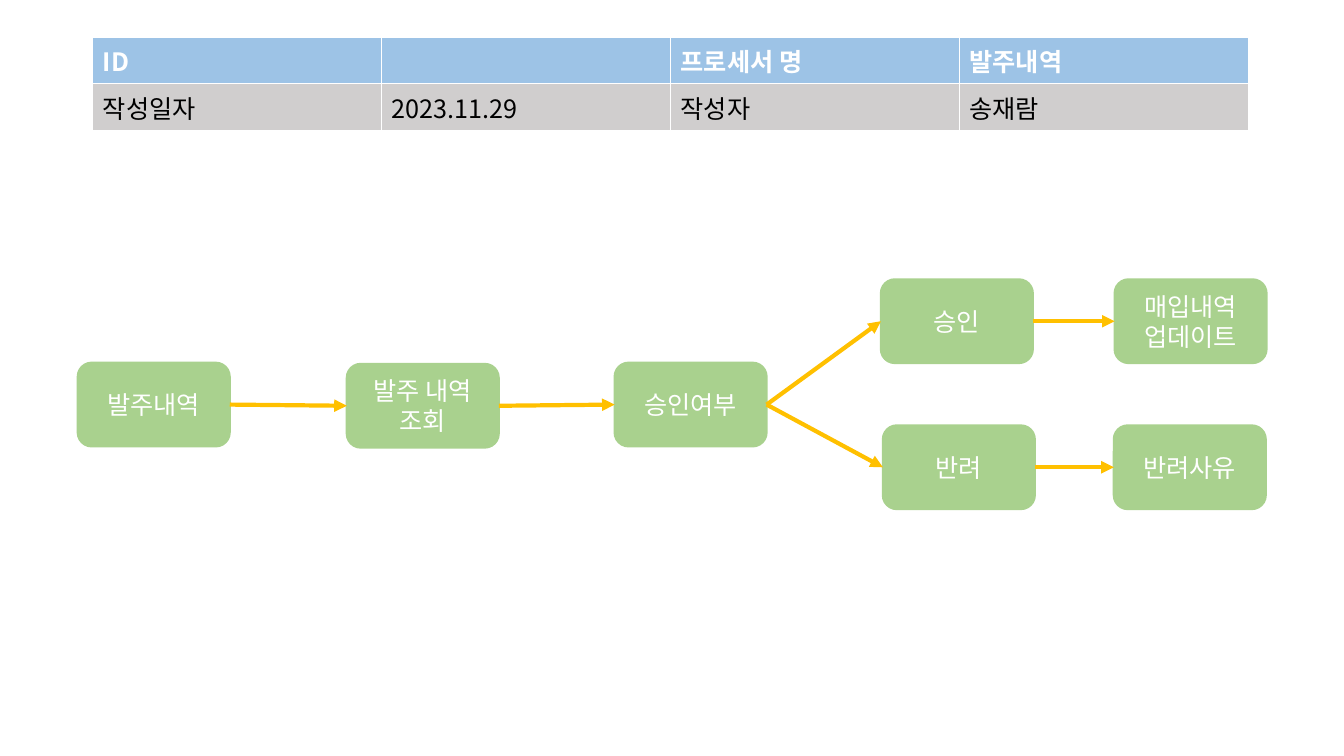
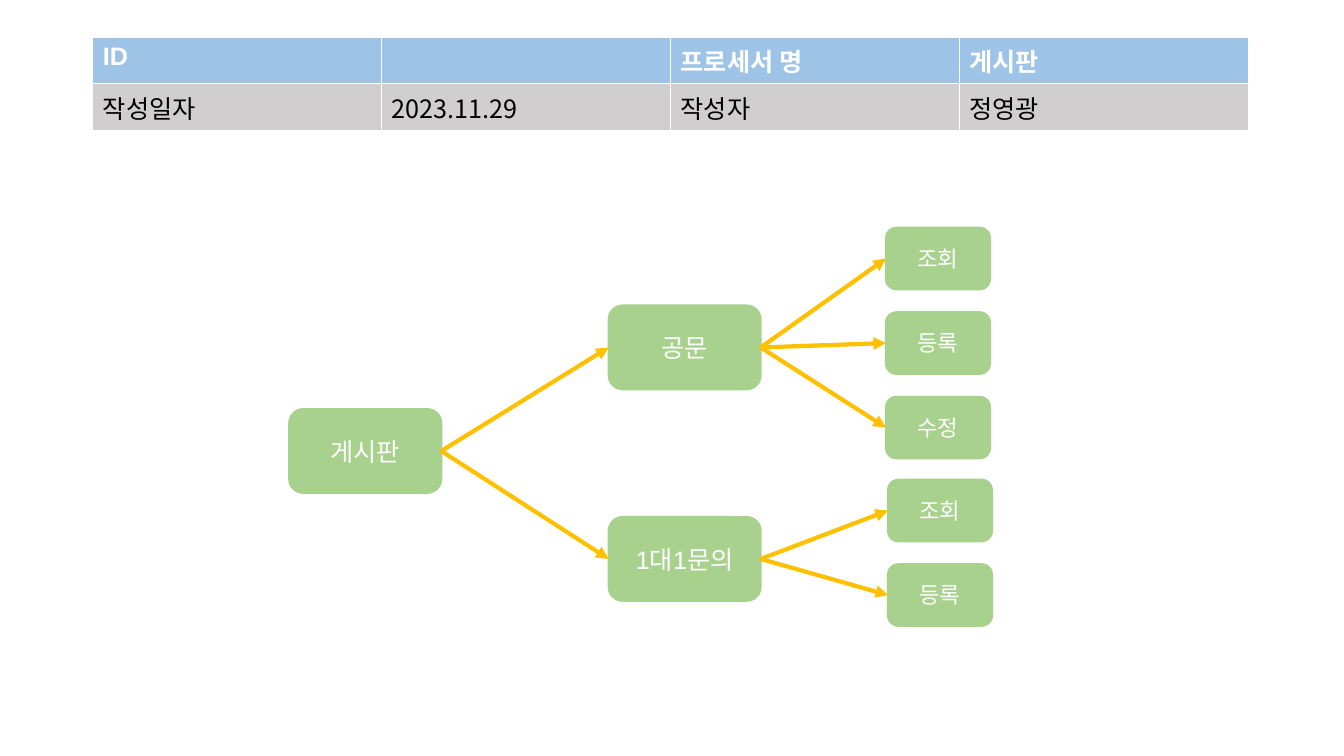
from dataclasses import dataclass

from lxml.etree import SubElement
from pptx import Presentation
from pptx.dml.color import RGBColor
from pptx.enum.shapes import MSO_CONNECTOR, MSO_SHAPE
from pptx.enum.text import MSO_ANCHOR, PP_ALIGN
from pptx.oxml.ns import qn
from pptx.util import Cm, Pt

COLORS = {
    "header": "9DC3E6",
    "row": "D0CECE",
    "box": "A9D18E",
    "arrow": "FFC000",
    "white": "FFFFFF",
    "black": "000000",
}
KOREAN = "Noto Sans CJK KR"
LATIN = "Arial"
RIGHT, LEFT = 3, 1


@dataclass(frozen=True)
class Size:
    width: float
    height: float
    font: int


LARGE = Size(3.83, 2.11, 18)
SMALL = Size(2.62, 1.55, 16)


@dataclass(frozen=True)
class Box:
    """A flow step; left and top are in centimetres."""
    text: str
    left: float
    top: float
    size: Size = LARGE


@dataclass(frozen=True)
class Process:
    """One slide; arrows are pairs of keys into boxes."""
    name: str
    author: str
    font: str
    boxes: dict[str, Box]
    arrows: list[tuple[str, str]]


def column(texts: dict[str, str], left: float, top: float) -> dict[str, Box]:
    """Stack small boxes at an equal step."""
    step = 2.13
    return {key: Box(text, left, round(top + i * step, 2), SMALL)
            for i, (key, text) in enumerate(texts.items())}


PROCESSES = [
    Process(
        "발주내역", "송재람", KOREAN,
        {
            "orders": Box("발주내역", 1.96, 9.14),
            "search": Box("발주 내역 조회", 8.74, 9.17),
            "decision": Box("승인여부", 15.49, 9.14),
            "approved": Box("승인", 22.2, 7.04),
            "rejected": Box("반려", 22.25, 10.72),
            "update": Box("매입내역\n업데이트", 28.09, 7.04),
            "reason": Box("반려사유", 28.07, 10.72),
        },
        [("orders", "search"), ("search", "decision"),
         ("decision", "approved"), ("decision", "rejected"),
         ("approved", "update"), ("rejected", "reason")],
    ),
    Process(
        "게시판", "정영광", LATIN,
        {
            "board": Box("게시판", 7.29, 10.31),
            "notice": Box("공문", 15.34, 7.7),
            "inquiry": Box("1대1문의", 15.34, 13.03),
            **column({"notice view": "조회", "notice add": "등록",
                      "notice edit": "수정"}, 22.33, 5.74),
            **column({"inquiry view": "조회", "inquiry add": "등록"}, 22.38, 12.09),
        },
        [("board", "notice"), ("board", "inquiry"),
         ("notice", "notice view"), ("notice", "notice add"),
         ("notice", "notice edit"),
         ("inquiry", "inquiry view"), ("inquiry", "inquiry add")],
    ),
]


def rgb(name: str) -> RGBColor:
    return RGBColor.from_string(COLORS[name])


def write(tf, text: str, *, font: str, size: int = 18, color: str = "white",
          bold: bool = False, align=PP_ALIGN.LEFT) -> None:
    """Fill a text frame, one paragraph per line of text."""
    for i, line in enumerate(text.split("\n")):
        p = tf.paragraphs[0] if i == 0 else tf.add_paragraph()
        p.alignment = align
        if not line:
            continue
        r = p.add_run()
        r.text = line
        r.font.name = font
        r.font.size = Pt(size)
        r.font.bold = bold
        r.font.color.rgb = rgb(color)
        SubElement(r.font._element, qn("a:ea"), typeface=KOREAN)


def add_header(s, process: Process) -> None:
    rows = [["ID", "", "프로세서 명", process.name],
            ["작성일자", "2023.11.29", "작성자", process.author]]
    heights = [1.09, 1.04]
    frame = s.shapes.add_table(2, 4, Cm(2.34), Cm(0.94), Cm(29.12), Cm(sum(heights)))
    table = frame.table
    table.horz_banding = False
    for col in table.columns:
        col.width = Cm(7.28)
    for i, texts in enumerate(rows):
        table.rows[i].height = Cm(heights[i])
        heading = i == 0
        for j, text in enumerate(texts):
            cell = table.cell(i, j)
            cell.fill.solid()
            cell.fill.fore_color.rgb = rgb("header" if heading else "row")
            write(cell.text_frame, text, bold=heading,
                  font=KOREAN if text[:1].isdigit() else process.font,
                  color="white" if heading else "black")


def add_box(s, box: Box, font: str):
    size = box.size
    sp = s.shapes.add_shape(MSO_SHAPE.ROUNDED_RECTANGLE, Cm(box.left), Cm(box.top),
                            Cm(size.width), Cm(size.height))
    sp.shadow.inherit = False
    sp.fill.solid()
    sp.fill.fore_color.rgb = rgb("box")
    sp.line.color.rgb = rgb("box")
    sp.line.width = Pt(1.5)
    tf = sp.text_frame
    tf.word_wrap = True
    tf.vertical_anchor = MSO_ANCHOR.MIDDLE
    write(tf, box.text, font=font, size=size.font, align=PP_ALIGN.CENTER)
    return sp


def add_arrow(s, start, end) -> None:
    """Join the right side of one box to the left side of another."""
    line = s.shapes.add_connector(MSO_CONNECTOR.STRAIGHT, 0, 0, 0, 0)
    line.begin_connect(start, RIGHT)
    line.end_connect(end, LEFT)
    line.line.color.rgb = rgb("arrow")
    line.line.width = Pt(3)
    SubElement(line.line._get_or_add_ln(), qn("a:tailEnd"), type="triangle")
    SubElement(line._element.spPr, qn("a:effectLst"))


def main() -> None:
    prs = Presentation()
    prs.slide_width, prs.slide_height = Cm(33.87), Cm(19.05)
    for process in PROCESSES:
        s = prs.slides.add_slide(prs.slide_layouts[6])
        add_header(s, process)
        shapes = {key: add_box(s, box, process.font)
                  for key, box in process.boxes.items()}
        for start, end in process.arrows:
            add_arrow(s, shapes[start], shapes[end])
    prs.save("out.pptx")


if __name__ == "__main__":
    main()
